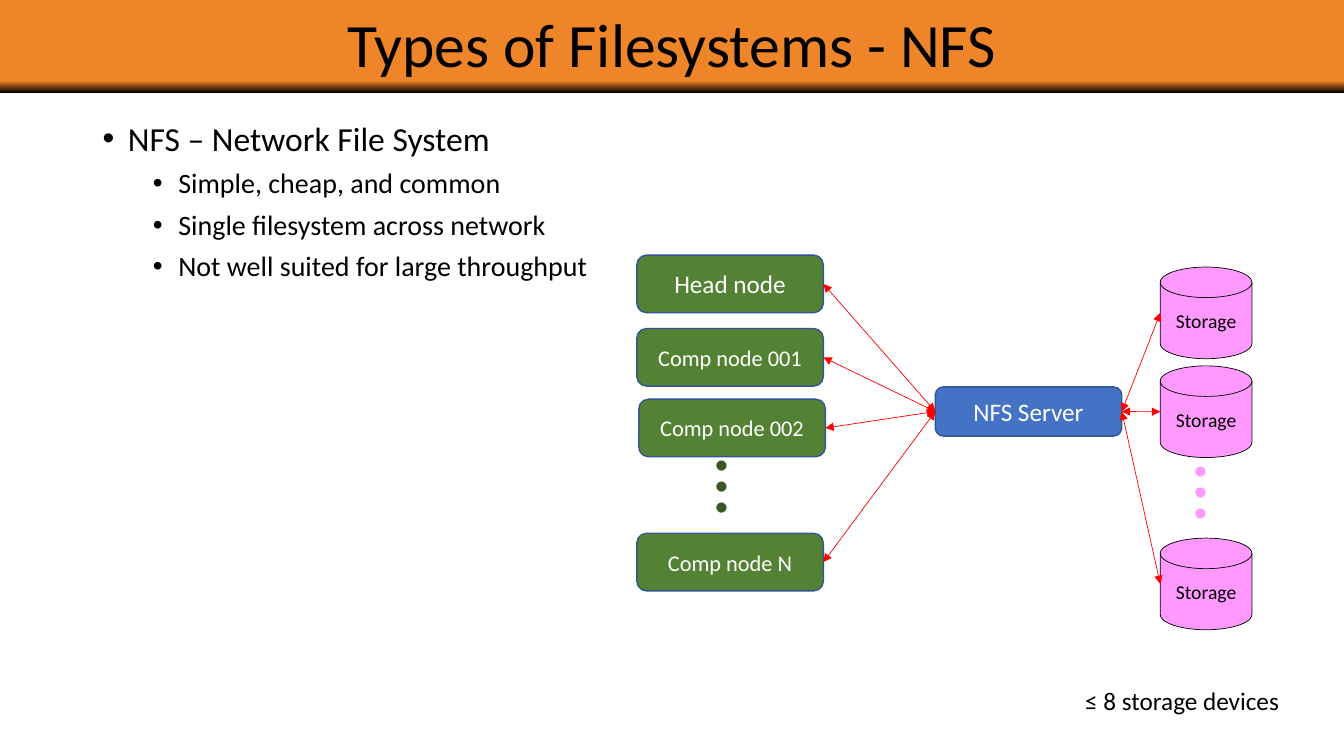
"""Build the NFS slide: compute nodes, one server and its storage devices."""
from lxml import etree
from pptx import Presentation, util as u
from pptx.dml import color
from pptx.enum import shapes, text
from pptx.oxml import ns

TITLE = "Types of Filesystems - NFS"
POINTS = [
    (0, "NFS – Network File System"),
    (1, "Simple, cheap, and common"),
    (1, "Single filesystem across network"),
    (1, "Not well suited for large throughput"),
]
NODES = [
    ("Head node", 16.05, 6.43, 18),
    ("Comp node 001", 16.05, 8.28, 16),
    ("Comp node 002", 16.1, 10.06, 16),
    ("Comp node N", 16.05, 13.44, 16),
]
SERVER = ("NFS Server", (23.57, 9.75, 4.7, 1.24))
STORAGE_TOPS = [6.73, 9.22, 13.56]
ELLIPSES = [
    ("node dots", (17.09, 11.1, 3.66, 2.82)),
    ("disk dots", (29.59, 11.38, 3.02, 2.57)),
]
LIMIT = ("≤ 8 storage devices", (27.1, 17.15, 6.7, 1.02))

COLORS = {
    "band": "EF8529", "text": "000000", "light": "FFFFFF",
    "node": "548235", "server": "4472C4", "edge": "325491",
    "disk": "FF99FF", "link": "FF0000",
    "node dots": "385723", "disk dots": "FF99FF",
}
SLIDE_W, SLIDE_H, BAND_H = 33.87, 19.05, 2.34
NODE_W, NODE_H = 4.7, 1.45
DISK_LEFT, DISK_SIZE = 29.24, 2.31
LEVELS = [
    {"size": 24, "margin": 0.64, "before": 0},
    {"size": 20, "margin": 1.91, "before": 8},
]
HANGING = 0.64
DISK_INSETS = {"margin_left": 0.33, "margin_right": 0.33,
               "margin_top": 0.18, "margin_bottom": 0.18}


def rgb(name):
    return color.RGBColor.from_string(COLORS[name])


def place(shape, box):
    for side, value in zip(("left", "top", "width", "height"), box):
        setattr(shape, side, u.Cm(value))


def style(paragraph, size, ink, **layout):
    for key, value in layout.items():
        setattr(paragraph, key, value)
    for key, value in {"name": "Calibri", "size": u.Pt(size)}.items():
        setattr(paragraph.font, key, value)
    paragraph.font.color.rgb = rgb(ink)


def add_block(slide, kind, box, fill, edge, weight, label, size, ink):
    block = slide.shapes.add_shape(kind, *map(u.Cm, box))
    block.shadow.inherit = False
    block.fill.solid()
    block.fill.fore_color.rgb = rgb(fill)
    block.line.color.rgb = rgb(edge)
    block.line.width = u.Pt(weight)
    block.text_frame.text = label
    block.text_frame.vertical_anchor = text.MSO_ANCHOR.MIDDLE
    style(block.text_frame.paragraphs[0], size, ink, alignment=text.PP_ALIGN.CENTER)
    return block


def add_label(slide, words, box, size, ink, align):
    label = slide.shapes.add_textbox(*map(u.Cm, box))
    frame = label.text_frame
    frame.text = words
    frame.word_wrap = True
    frame.auto_size = text.MSO_AUTO_SIZE.SHAPE_TO_FIT_TEXT
    style(frame.paragraphs[0], size, ink, alignment=align)
    return label


def add_link(slide, start, end):
    link = slide.shapes.add_connector(
        shapes.MSO_CONNECTOR.STRAIGHT, *map(u.Cm, start + end))
    link.line.color.rgb = rgb("link")
    link.line.width = u.Pt(0.5)
    for tip in ("a:headEnd", "a:tailEnd"):
        etree.SubElement(link.line._get_or_add_ln(), ns.qn(tip), type="triangle")
    etree.SubElement(link.element.spPr, ns.qn("a:effectLst"))
    return link


def add_heading(slide):
    title = slide.shapes.title
    place(title, (0, 0.03, SLIDE_W, BAND_H))
    title.text_frame.text = TITLE
    title.text_frame.vertical_anchor = text.MSO_ANCHOR.MIDDLE
    style(title.text_frame.paragraphs[0], 44, "text",
          alignment=text.PP_ALIGN.CENTER, line_spacing=0.9)

    band = slide.shapes.add_shape(
        shapes.MSO_SHAPE.RECTANGLE, 0, 0, u.Cm(SLIDE_W), u.Cm(BAND_H))
    band.shadow.inherit = False
    band.line.fill.background()
    band.fill.gradient()
    band.fill.gradient_angle = 90
    stops = [(0, "text"), (0.13, "band")]
    for stop, (position, name) in zip(band.fill.gradient_stops, stops):
        stop.position = position
        stop.color.rgb = rgb(name)
    title.element.addprevious(band.element)


def add_points(slide):
    body = slide.placeholders[1]
    place(body, (2.33, 2.95, 29.21, 14.2))
    frame = body.text_frame
    frame.text = "\n".join(words for _, words in POINTS)
    for paragraph, (level, _) in zip(frame.paragraphs, POINTS):
        look = LEVELS[level]
        props = paragraph._p.get_or_add_pPr()
        props.set("marL", str(u.Cm(look["margin"])))
        props.set("indent", str(-u.Cm(HANGING)))
        etree.SubElement(props, ns.qn("a:buFont"), typeface="Arial")
        etree.SubElement(props, ns.qn("a:buChar"), char="•")
        style(paragraph, look["size"], "text", level=level, line_spacing=0.9,
              space_before=u.Pt(look["before"]), alignment=text.PP_ALIGN.LEFT)


def add_network(slide):
    rounded = shapes.MSO_SHAPE.ROUNDED_RECTANGLE
    name, box = SERVER
    left, top, width, height = box
    middle = top + height / 2
    server = add_block(slide, rounded, box, "server", "edge", 1, name, 18, "light")

    for disk_top in STORAGE_TOPS:
        disk = add_block(slide, shapes.MSO_SHAPE.FLOWCHART_MAGNETIC_DISK,
                         (DISK_LEFT, disk_top, DISK_SIZE, DISK_SIZE),
                         "disk", "text", 0.5, "Storage", 14, "text")
        for side, inset in DISK_INSETS.items():
            setattr(disk.text_frame, side, u.Cm(inset))
        link = add_link(slide, (left + width, middle),
                        (DISK_LEFT, disk_top + DISK_SIZE / 2))
        link.begin_connect(server, 3)

    for name, node_left, node_top, size in NODES:
        node = add_block(slide, rounded, (node_left, node_top, NODE_W, NODE_H),
                         "node", "edge", 1, name, size, "light")
        link = add_link(slide, (node_left + NODE_W, node_top + NODE_H / 2),
                        (left, middle))
        link.begin_connect(node, 3)
        link.end_connect(server, 1)

    for ink, box in ELLIPSES:
        dots = add_label(slide, "... ", box, 60, ink, text.PP_ALIGN.CENTER)
        dots.rotation = 90


def main():
    deck = Presentation()
    deck.slide_width, deck.slide_height = u.Cm(SLIDE_W), u.Cm(SLIDE_H)
    slide = deck.slides.add_slide(deck.slide_layouts[1])
    add_heading(slide)
    add_points(slide)
    add_network(slide)
    add_label(slide, *LIMIT, 18, "text", text.PP_ALIGN.LEFT)
    deck.save("out.pptx")


if __name__ == "__main__":
    main()
